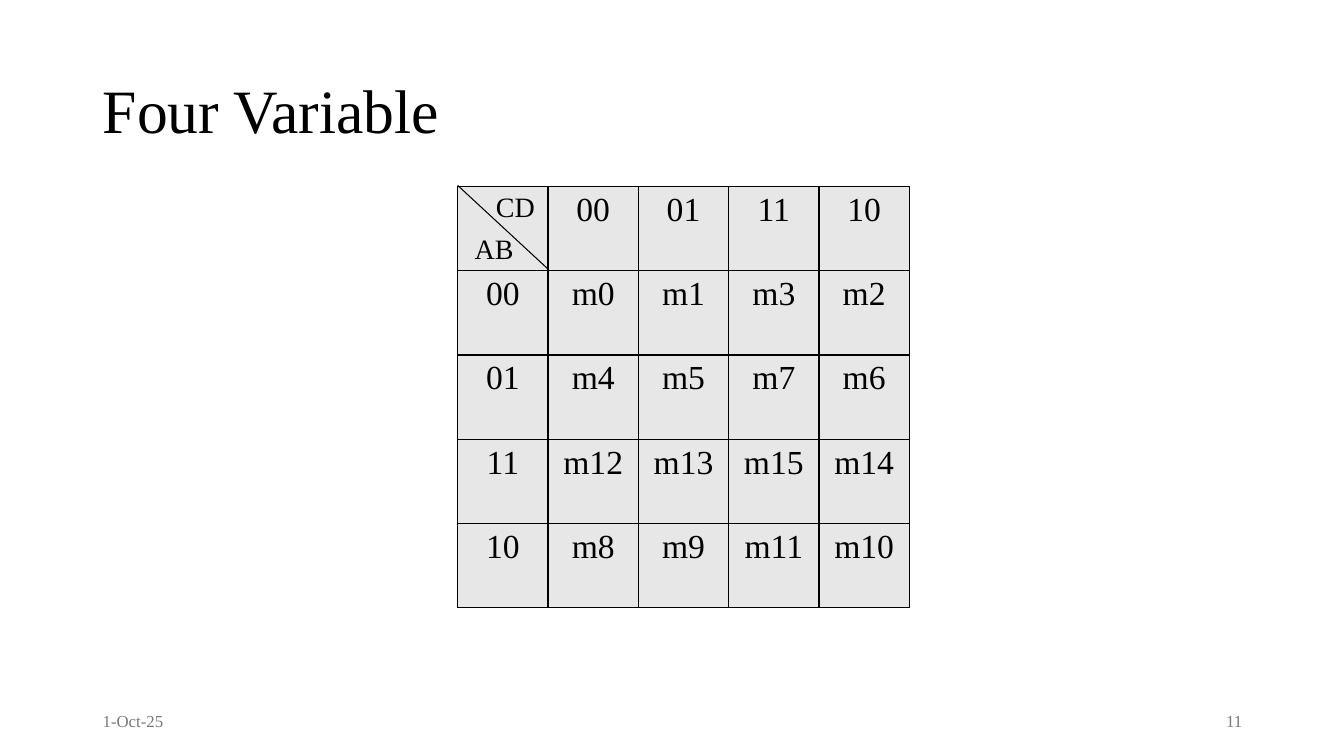
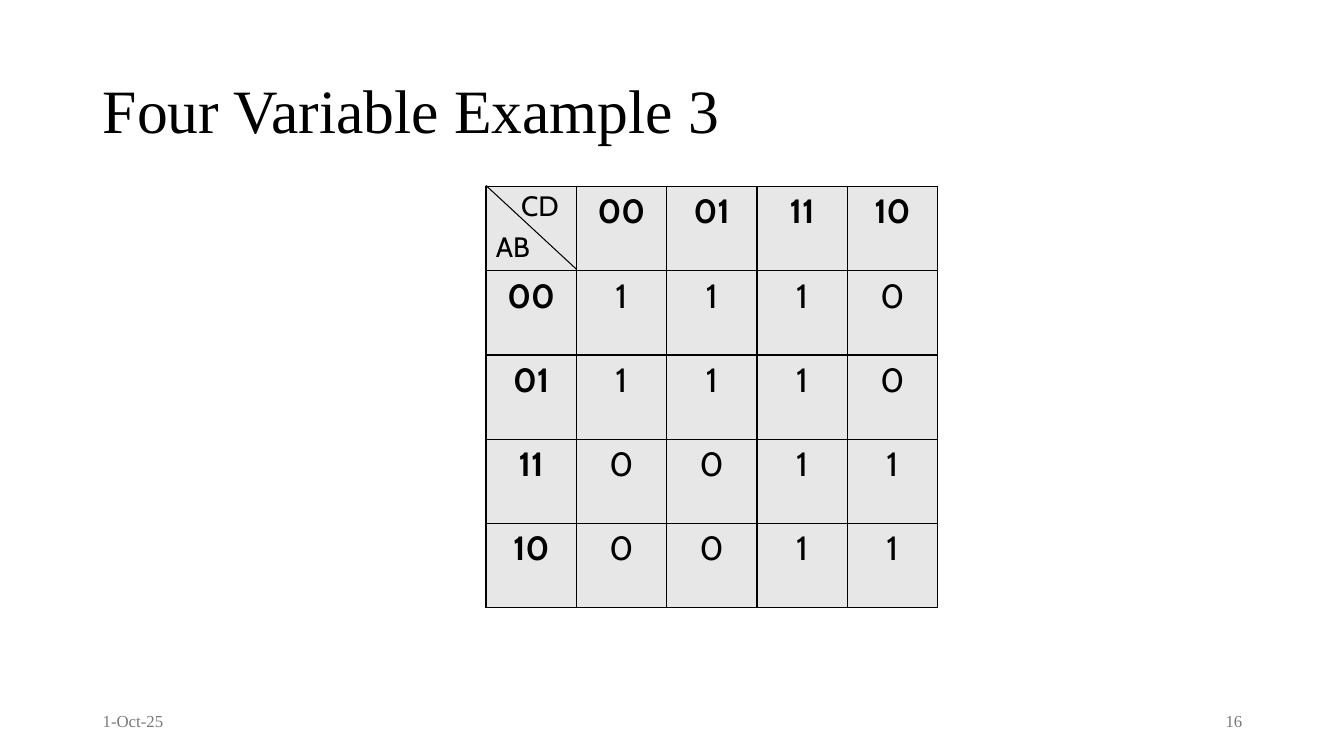
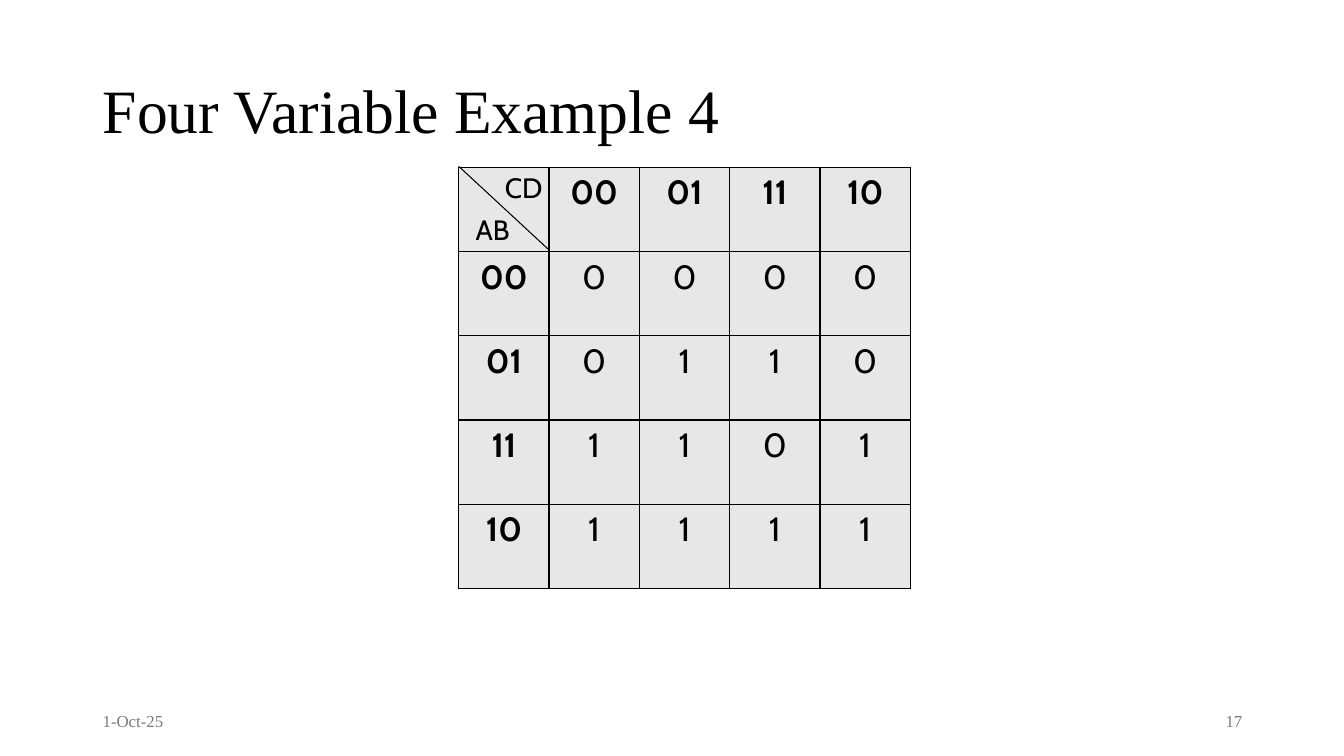
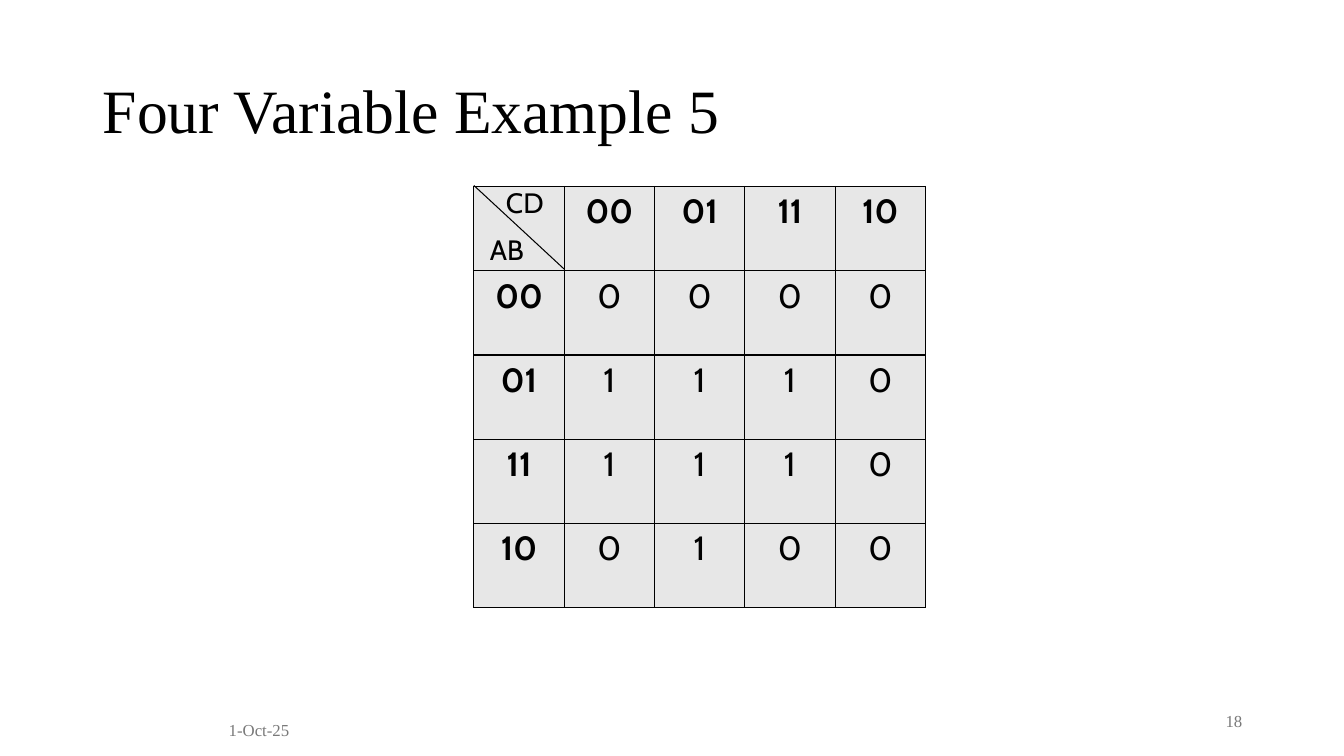
from lxml.etree import SubElement
from pptx import Presentation
from pptx.dml.color import RGBColor
from pptx.enum.shapes import MSO_CONNECTOR as Connector
from pptx.enum.text import MSO_ANCHOR as Anchor, MSO_AUTO_SIZE as AutoSize, PP_ALIGN as Align
from pptx.oxml.ns import qn
from pptx.util import Inches, Pt

COLORS = {"ink": "000000", "muted": "797979", "cell": "E7E7E7", "page": "FFFFFF"}
SERIF = "Times New Roman"
SANS = "Cabin"
GRAY_CODE = ["00", "01", "11", "10"]
SIDE = len(GRAY_CODE) + 1
MAP_WIDTH, MAP_HEIGHT = 4.48, 4.18
FOOTER_BOX = (0.92, 6.95, 3, 0.4)
NUMBER_BOX = (9.42, 6.95, 3, 0.4)

MINTERMS = [[f"m{int(row + column, 2)}" for column in GRAY_CODE] for row in GRAY_CODE]

SLIDES = [
    {"title": "Four Variable", "number": "11", "map_at": (4.54, 1.85),
     "values": MINTERMS, "font": SERIF, "bold": False,
     "row_label": (4.61, 2.25), "column_label": (4.82, 1.83)},
    {"title": "Four Variable Example 3", "number": "16", "map_at": (4.82, 1.85),
     "values": ["1110", "1110", "0011", "0011"],
     "row_label": (4.82, 2.23), "column_label": (5.07, 1.82)},
    {"title": "Four Variable Example 4", "number": "17", "map_at": (4.55, 1.66),
     "values": ["0000", "0110", "1101", "1111"],
     "row_label": (4.62, 2.06), "column_label": (4.91, 1.64)},
    {"title": "Four Variable Example 5", "number": "18", "map_at": (4.7, 1.85),
     "values": ["0000", "1110", "1110", "0100"],
     "row_label": (4.76, 2.26), "column_label": (4.92, 1.79),
     "date_box": (2.17, 6.98, 2.33, 0.52)},
]


class MapDeck:
    def __init__(self):
        self.deck = Presentation()
        self.deck.slide_width = Inches(13.33)
        self.deck.slide_height = Inches(7.5)
        self.page = None

    def color(self, name):
        return RGBColor.from_string(COLORS[name])

    def add_span(self, para, text, size, font=SERIF, color="ink", bold=False, align=Align.LEFT):
        para.alignment = align
        span = para.add_run()
        span.text = text
        span.font.size = Pt(size)
        span.font.name = font
        span.font.bold = bold
        span.font.color.rgb = self.color(color)

    def add_page(self, title):
        self.page = self.deck.slides.add_slide(self.deck.slide_layouts[5])
        self.page.background.fill.solid()
        self.page.background.fill.fore_color.rgb = self.color("page")
        box = self.page.shapes.title
        box.left, box.top, box.width, box.height = map(Inches, (0.92, 0.4, 11.5, 1.45))
        frame = box.text_frame
        frame.auto_size = AutoSize.NONE
        frame.word_wrap = True
        frame.vertical_anchor = Anchor.MIDDLE
        para = frame.paragraphs[0]
        para.line_spacing = 0.9
        self.add_span(para, title, 44)

    def add_text(self, place, text, size, anchor=Anchor.TOP, fit=AutoSize.NONE, **style):
        box = self.page.shapes.add_textbox(*map(Inches, place))
        frame = box.text_frame
        frame.word_wrap = True
        frame.auto_size = fit
        frame.vertical_anchor = anchor
        self.add_span(frame.paragraphs[0], text, size, **style)

    def add_footer(self, number, date_box):
        self.add_text(date_box, "1-Oct-25", 12, Anchor.MIDDLE, color="muted")
        self.add_text(NUMBER_BOX, number, 12, Anchor.MIDDLE, color="muted", align=Align.RIGHT)

    def add_label(self, position, text, width, font):
        self.add_text((*position, width, 0.44), text, 20,
                      fit=AutoSize.SHAPE_TO_FIT_TEXT, font=font)

    def style_cell(self, cell):
        properties = cell._tc.get_or_add_tcPr()
        for edge in ("lnL", "lnR", "lnT", "lnB"):
            border = SubElement(properties, qn(f"a:{edge}"), w=str(Pt(1)))
            fill = SubElement(border, qn("a:solidFill"))
            SubElement(fill, qn("a:srgbClr"), val=COLORS["ink"])
        cell.fill.solid()
        cell.fill.fore_color.rgb = self.color("cell")

    def add_map(self, position, values, font, bold):
        place = map(Inches, (*position, MAP_WIDTH, MAP_HEIGHT))
        table = self.page.shapes.add_table(SIDE, SIDE, *place).table
        for column in table.columns:
            column.width = Inches(MAP_WIDTH / SIDE)
        for row in table.rows:
            row.height = Inches(MAP_HEIGHT / SIDE)
        rows = [["", *GRAY_CODE]]
        rows += [[code, *line] for code, line in zip(GRAY_CODE, values)]
        for row, texts in enumerate(rows):
            for column, text in enumerate(texts):
                cell = table.cell(row, column)
                self.style_cell(cell)
                if text:
                    heading = row == 0 or column == 0
                    self.add_span(cell.text_frame.paragraphs[0], text, 24, font=font,
                                  bold=bold and heading, align=Align.CENTER)

    def add_diagonal(self, position):
        left, top = position
        ends = (left + MAP_WIDTH / SIDE, top + 0.82, left, top - 0.01)
        line = self.page.shapes.add_connector(Connector.STRAIGHT, *map(Inches, ends))
        line.line.color.rgb = self.color("ink")
        line.line.width = Pt(0.75)
        SubElement(line._element.spPr, qn("a:effectLst"))

    def add_map_page(self, title, number, map_at, values, row_label, column_label,
                     font=SANS, bold=True, date_box=FOOTER_BOX):
        self.add_page(title)
        self.add_footer(number, date_box)
        self.add_map(map_at, values, font, bold)
        self.add_diagonal(map_at)
        self.add_label(row_label, "AB", 0.9, font)
        self.add_label(column_label, "CD", 1.08, font)


def main():
    maps = MapDeck()
    for content in SLIDES:
        maps.add_map_page(**content)
    maps.deck.save("out.pptx")


if __name__ == "__main__":
    main()
